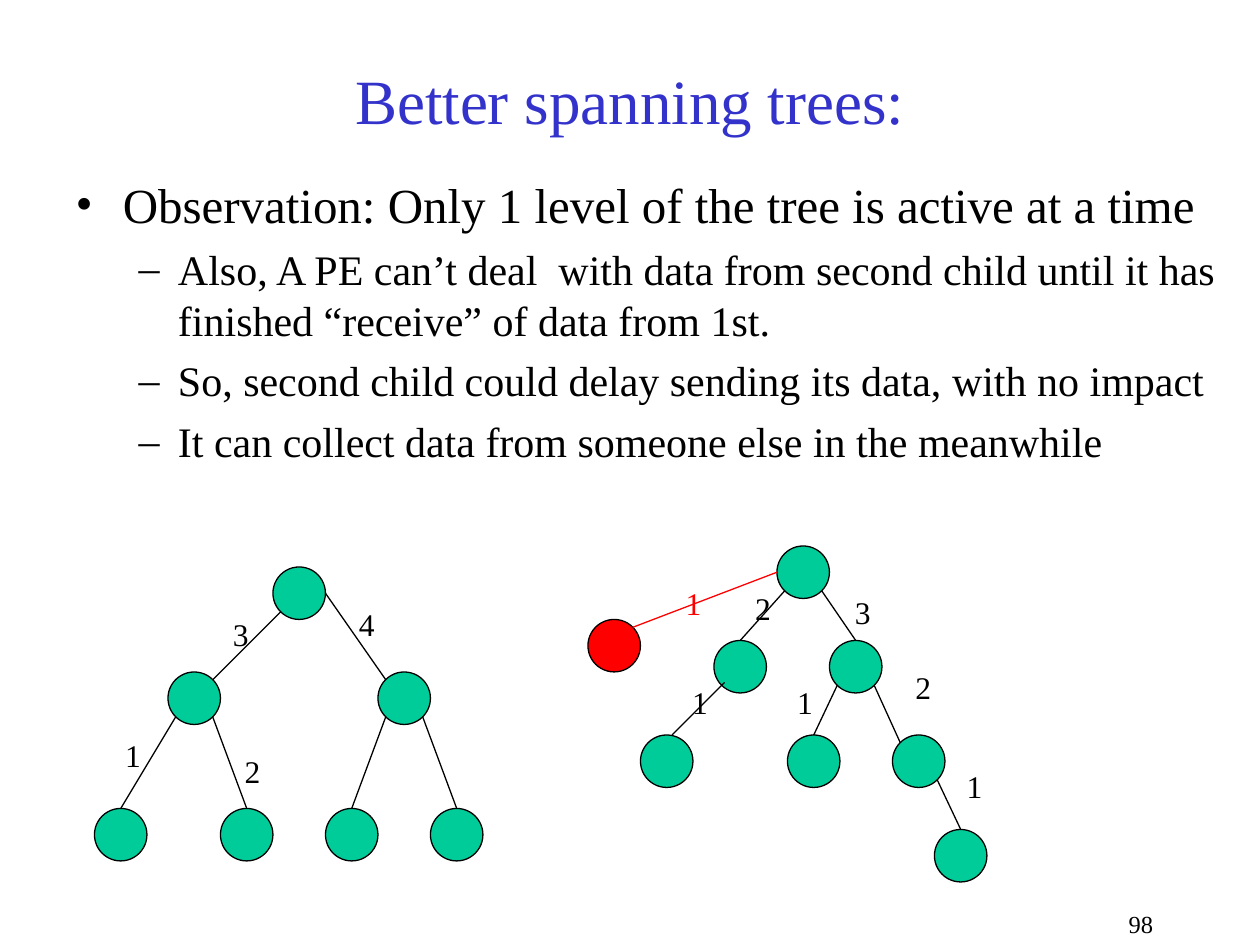
from lxml.etree import SubElement
from pptx import Presentation
from pptx.dml.color import RGBColor
from pptx.enum.shapes import MSO_CONNECTOR, MSO_SHAPE
from pptx.enum.text import MSO_ANCHOR, MSO_AUTO_SIZE, PP_ALIGN
from pptx.oxml.ns import qn
from pptx.util import Pt

PX = 9525  # EMU per px, 96 px to the inch
NODE = 40
COLORS = {"title": "3333CC", "ink": "000000", "node": "00CC99", "early": "FF0000"}
FONT = "Times New Roman"

# Attachment points on a node, measured from its top left corner
SITES = {"N": (20, 0), "NE": (34, 6), "NW": (6, 6), "W": (0, 20),
         "E": (40, 20), "SW": (6, 34), "SE": (34, 34)}

# Bullet, left margin, hanging indent, size and space before for each level
LEVELS = [("•", 36, 36, 28, 7), ("–", 78, 30, 24, 6)]

BODY = [
    (0, "Observation: Only 1 level of the tree is active at a time"),
    (1, "Also, A PE can’t deal  with data from second child until it has "
        "finished “receive” of data from 1st."),
    (1, "So, second child could delay sending its data, with no impact"),
    (1, "It can collect data from someone else in the meanwhile"),
]

BINARY_TREE = {
    "nodes": {"root": (208, 432), "left": (128, 512), "right": (288, 512),
              "leaf1": (72, 616), "leaf2": (168, 616),
              "leaf3": (248, 616), "leaf4": (328, 616)},
    "edges": [("root", "SW", "left", "NE"), ("root", "E", "right", "NW"),
              ("left", "SW", "leaf1", "N"), ("left", "SE", "leaf2", "N"),
              ("right", "SW", "leaf3", "N"), ("right", "SE", "leaf4", "N")],
    "labels": [("1", 86, 556), ("2", 177, 568), ("3", 168, 464), ("4", 264, 456)],
}
BETTER_TREE = {
    "nodes": {"root": (592, 416), "left": (544, 488), "right": (632, 488),
              "left leaf": (488, 560), "middle leaf": (600, 560),
              "inner": (680, 560), "last leaf": (712, 632)},
    "edges": [("root", "SW", "left", "N"), ("root", "SE", "right", "N"),
              ("right", "SW", "middle leaf", "N"), ("right", "SE", "inner", "NW"),
              ("inner", "SE", "last leaf", "N")],
    "labels": [("1", 518, 516), ("1", 727, 580), ("1", 598, 516),
               ("2", 566, 444), ("2", 688, 504), ("3", 642, 447)],
}


def rgb(name):
    return RGBColor.from_string(COLORS[name])


class Deck:
    def __init__(self, width, height):
        self.prs = Presentation()
        self.prs.slide_width, self.prs.slide_height = width * PX, height * PX
        self.s = self.prs.slides.add_slide(self.prs.slide_layouts[1])

    def style(self, p, size, color="ink"):
        for r in p.runs:
            r.font.name, r.font.size = FONT, Pt(size)
            r.font.color.rgb = rgb(color)

    def place(self, sp, x, y, w, h):
        sp.left, sp.top, sp.width, sp.height = (v * PX for v in (x, y, w, h))
        sp.text_frame.auto_size = MSO_AUTO_SIZE.NONE

    def title(self, text, *box):
        sp = self.s.shapes.title
        self.place(sp, *box)
        tf = sp.text_frame
        tf.text = text
        tf.vertical_anchor = MSO_ANCHOR.MIDDLE
        tf.paragraphs[0].alignment = PP_ALIGN.CENTER
        self.style(tf.paragraphs[0], 36, "title")

    def bullets(self, items, *box):
        sp = self.s.placeholders[1]
        self.place(sp, *box)
        tf = sp.text_frame
        tf.text = "\n".join(text for _, text in items)
        for i, (p, (level, _)) in enumerate(zip(tf.paragraphs, items)):
            char, margin, hanging, size, before = LEVELS[level]
            p.level = level
            pPr = p._p.get_or_add_pPr()
            pPr.set("marL", str(margin * PX))
            pPr.set("indent", str(-hanging * PX))
            SubElement(pPr, qn("a:buFont"), typeface=FONT)
            SubElement(pPr, qn("a:buChar"), char=char)
            p.space_before = Pt(before if i else 0)
            self.style(p, size)

    def node(self, x, y, color="node"):
        sp = self.s.shapes.add_shape(MSO_SHAPE.OVAL, x * PX, y * PX, NODE * PX, NODE * PX)
        sp.shadow.inherit = False
        sp.fill.solid()
        sp.fill.fore_color.rgb = rgb(color)
        sp.line.color.rgb = rgb("ink")
        sp.line.width = Pt(0.75)

    def line(self, start, end, color="ink"):
        ends = [v * PX for v in (*start, *end)]
        c = self.s.shapes.add_connector(MSO_CONNECTOR.STRAIGHT, *ends)
        c.line.color.rgb = rgb(color)
        c.line.width = Pt(0.75)
        SubElement(c._element.spPr, qn("a:effectLst"))

    def edge(self, parent, out, child, into, color="ink"):
        start, end = ([a + b for a, b in zip(corner, SITES[site])]
                      for corner, site in ((parent, out), (child, into)))
        self.line(start, end, color)

    def label(self, text, x, y, w=31, h=38, size=18, color="ink", align=PP_ALIGN.LEFT):
        sp = self.s.shapes.add_textbox(x * PX, y * PX, w * PX, h * PX)
        tf = sp.text_frame
        tf.text = text
        tf.word_wrap = False
        tf.paragraphs[0].alignment = align
        self.style(tf.paragraphs[0], size, color)

    def tree(self, nodes, edges, labels):
        for corner in nodes.values():
            self.node(*corner)
        for parent, out, child, into in edges:
            self.edge(nodes[parent], out, nodes[child], into)
        for label in labels:
            self.label(*label)


def main():
    deck = Deck(960, 720)

    # Heading and observations
    deck.title("Better spanning trees:", 40, 48, 880, 56)
    deck.bullets(BODY, 48, 128, 888, 536)

    # The two trees, with the step at which each edge is used
    deck.tree(**BINARY_TREE)
    deck.tree(**BETTER_TREE)
    deck.line((552, 520), (512, 560))

    # Extra child that sends in the first step
    early = (448, 472)
    deck.node(*early, color="early")
    deck.edge(early, "NE", BETTER_TREE["nodes"]["root"], "W", color="early")
    deck.label("1", 513, 440, color="early")

    # Page number
    deck.label("98", 712, 688, 176, 32, size=14, align=PP_ALIGN.RIGHT)

    deck.prs.save("out.pptx")


if __name__ == "__main__":
    main()
